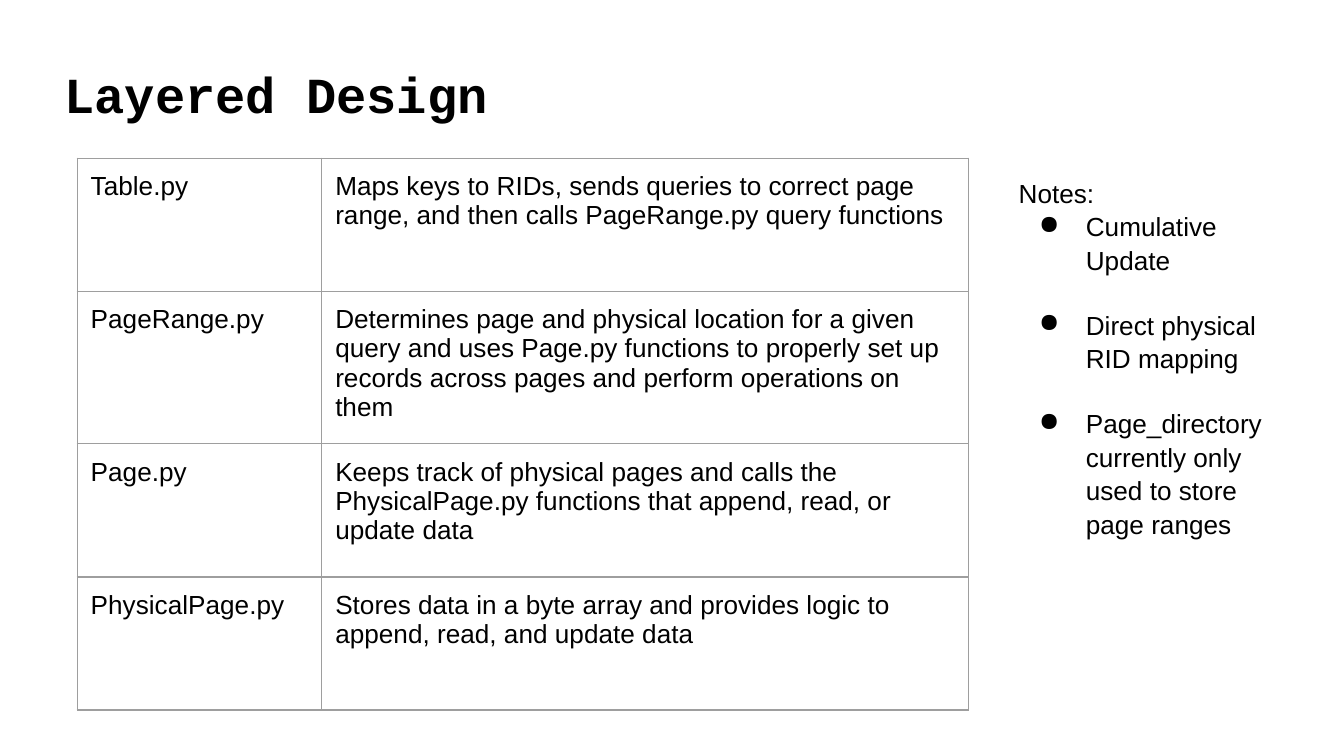
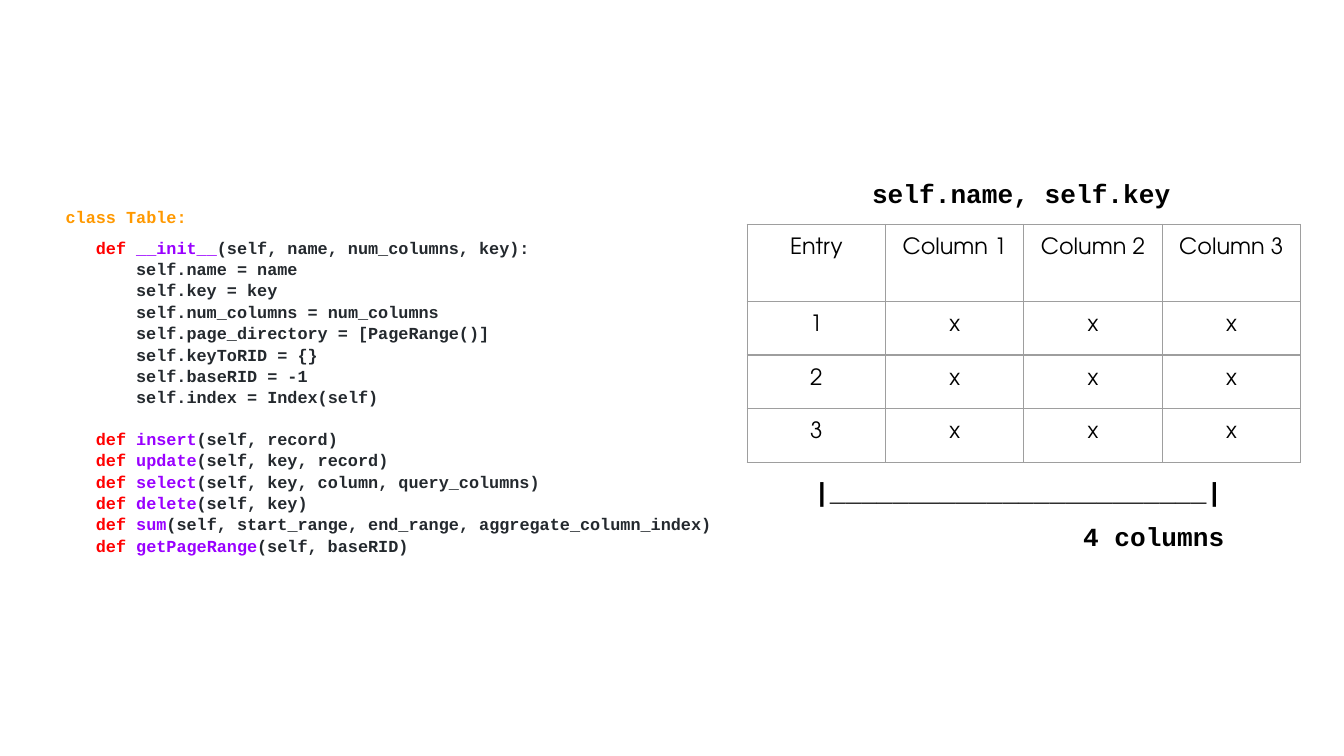
"""Build two slides on the layered table design."""
from lxml.etree import SubElement
from pptx import Presentation
from pptx.dml.color import RGBColor as Rgb
from pptx.enum.text import MSO_AUTO_SIZE as Fit, PP_ALIGN as Align
from pptx.oxml.ns import qn
from pptx.util import Pt

COLORS = {"text": "000000", "code": "24292E", "keyword": "FF0000",
          "name": "9900FF", "class": "FF9900", "border": "9E9E9E"}
INSET = 7.2
BODY = {"name": "Arial", "size": Pt(14)}
TITLE = {"name": "Courier New", "size": Pt(27), "bold": True}
CODE = {"name": "Courier New", "size": Pt(9), "bold": True}
LABEL = {"name": "Courier New", "size": Pt(14), "bold": True}
GRID = {"name": "TeX Gyre Adventor", "size": Pt(12)}

LAYERS = [
    ("Table.py", "Maps keys to RIDs, sends queries to correct page range, "
     "and then calls PageRange.py query functions"),
    ("PageRange.py", "Determines page and physical location for a given query "
     "and uses Page.py functions to properly set up records across pages and "
     "perform operations on them"),
    ("Page.py", "Keeps track of physical pages and calls the PhysicalPage.py "
     "functions that append, read, or update data"),
    ("PhysicalPage.py", "Stores data in a byte array and provides logic to "
     "append, read, and update data"),
]
NOTES = ["Cumulative Update", "Direct physical RID mapping",
         "Page_directory currently only used to store page ranges"]
FIELDS = ["self.name = name", "self.key = key",
          "self.num_columns = num_columns",
          "self.page_directory = [PageRange()]", "self.keyToRID = {}",
          "self.baseRID = -1", "self.index = Index(self)"]
METHODS = [("insert", "(self, record)"), ("update", "(self, key, record)"),
           ("select", "(self, key, column, query_columns)"),
           ("delete", "(self, key)"),
           ("sum", "(self, start_range, end_range, aggregate_column_index)"),
           ("getPageRange", "(self, baseRID)")]
ENTRIES = [("Entry", "Column 1", "Column 2", "Column 3")]
ENTRIES += [(str(number), "x", "x", "x") for number in range(1, 4)]


def set_all(target, values):
    """Set each named value on the target."""
    for key, value in values.items():
        setattr(target, key, value)


def write(para, spans, font, layout=None, indent=0, bullet=None):
    """Fill a paragraph with coloured spans and lay it out."""
    set_all(para, layout or {})
    for words, color in spans:
        span = para.add_run()
        span.text = words
        set_all(span.font, font)
        span.font.color.rgb = Rgb.from_string(COLORS[color])
    props = para._p.get_or_add_pPr()
    props.set("marL", str(Pt(indent)))
    props.set("indent", str(Pt(-25.2 if bullet else 0)))
    if bullet:
        tint = SubElement(props, qn("a:buClr"))
        SubElement(tint, qn("a:srgbClr"), val=COLORS["text"])
        SubElement(props, qn("a:buChar"), char=bullet)


def add_text(page, box, lines, font):
    """Add a text box holding one paragraph for each line."""
    frame = page.shapes.add_textbox(*map(Pt, box)).text_frame
    margins = {f"margin_{side}": Pt(INSET)
               for side in ("left", "top", "right", "bottom")}
    set_all(frame, {"word_wrap": True, "auto_size": Fit.SHAPE_TO_FIT_TEXT,
                    **margins})
    for index, line in enumerate(lines):
        para = frame.add_paragraph() if index else frame.paragraphs[0]
        write(para, font=font, **line)


def add_border(cell):
    """Draw a thin line on each side of a cell."""
    props = cell._tc.get_or_add_tcPr()
    for side in "LRTB":
        line = SubElement(props, qn(f"a:ln{side}"), w=str(Pt(0.75)))
        fill = SubElement(line, qn("a:solidFill"))
        SubElement(fill, qn("a:srgbClr"), val=COLORS["border"])


def add_grid(page, corner, widths, heights, rows, font, align):
    """Add a plain bordered table at a corner."""
    box = (*corner, sum(widths), sum(heights))
    table = page.shapes.add_table(len(rows), len(widths), *map(Pt, box)).table
    set_all(table, {"first_row": False, "horz_banding": False})
    for column, width in zip(table.columns, widths):
        column.width = Pt(width)
    for row, height, texts in zip(table.rows, heights, rows):
        row.height = Pt(height)
        for cell, words in zip(row.cells, texts):
            set_all(cell, {f"margin_{side}": Pt(INSET)
                           for side in ("left", "top", "right", "bottom")})
            add_border(cell)
            cell.fill.background()
            write(cell.text_frame.paragraphs[0], [(words, "text")], font,
                  {"alignment": align})


def add_notes(page, box):
    """Add the bulleted notes."""
    lines = [{"spans": [("Notes:", "text")], "layout": {"line_spacing": 1.07}}]
    for index, note in enumerate(NOTES):
        gap = Pt(16.8 if index else 0)
        lines.append({"spans": [(note, "text")], "indent": 36, "bullet": "●",
                      "layout": {"line_spacing": 1.07, "space_before": gap}})
    add_text(page, box, lines, BODY)


def method_line(name, arguments, spacing=1.06, gap=0):
    """Describe one method signature."""
    return {"spans": [("def ", "keyword"), (name, "name"), (arguments, "code")],
            "indent": 16.2,
            "layout": {"line_spacing": spacing, "space_before": Pt(gap)}}


def add_code(page, box):
    """Add the class outline."""
    lines = [{"spans": [("class Table:", "class")],
              "layout": {"line_spacing": 1.52}},
             method_line("__init__", "(self, name, num_columns, key):", 1.52)]
    lines += [{"spans": [(field, "code")], "indent": 37.8,
               "layout": {"line_spacing": 1.06}} for field in FIELDS]
    lines += [method_line(*method, gap=0 if index else 10.8)
              for index, method in enumerate(METHODS)]
    add_text(page, box, lines, CODE)


def add_labels(page, left, width):
    """Add the caption above the entry table and the bracket below it."""
    caption = {"spans": [("self.name, self.key", "text")],
               "layout": {"line_spacing": 1.43, "alignment": Align.CENTER}}
    add_text(page, (left, 80.6, width, 31.7), [caption], LABEL)
    bracket = [{"spans": [(words, "text")], "indent": indent,
                "layout": {"line_spacing": 1.43}}
               for words, indent in (("|" + "_" * 24 + "|", 0),
                                     ("4 columns", 144))]
    add_text(page, (left, 240.5, width, 55.4), bracket, LABEL)


def build_layers(page):
    """Build the layered design slide."""
    add_text(page, (27.4, 26.6, 378.7, 47.5),
             [{"spans": [("Layered Design", "text")]}], TITLE)
    add_grid(page, (41.4, 84.8), (131, 346.5), [71.3] * 4, LAYERS, BODY,
             Align.LEFT)
    add_notes(page, (538.6, 86.4, 159.8, 200.9))


def build_table_class(page):
    """Build the table class slide."""
    add_code(page, (28.1, 97.9, 378.7, 209.5))
    add_grid(page, (400.3, 120.2), [74.1] * 4, [41.2] + [28.8] * 3, ENTRIES,
             GRID, Align.CENTER)
    add_labels(page, 429.1, 236.2)


def main():
    """Build and save the deck."""
    deck = Presentation()
    set_all(deck, {"slide_width": Pt(720), "slide_height": Pt(405)})
    for build in (build_layers, build_table_class):
        build(deck.slides.add_slide(deck.slide_layouts[6]))
    deck.save("out.pptx")


if __name__ == "__main__":
    main()
